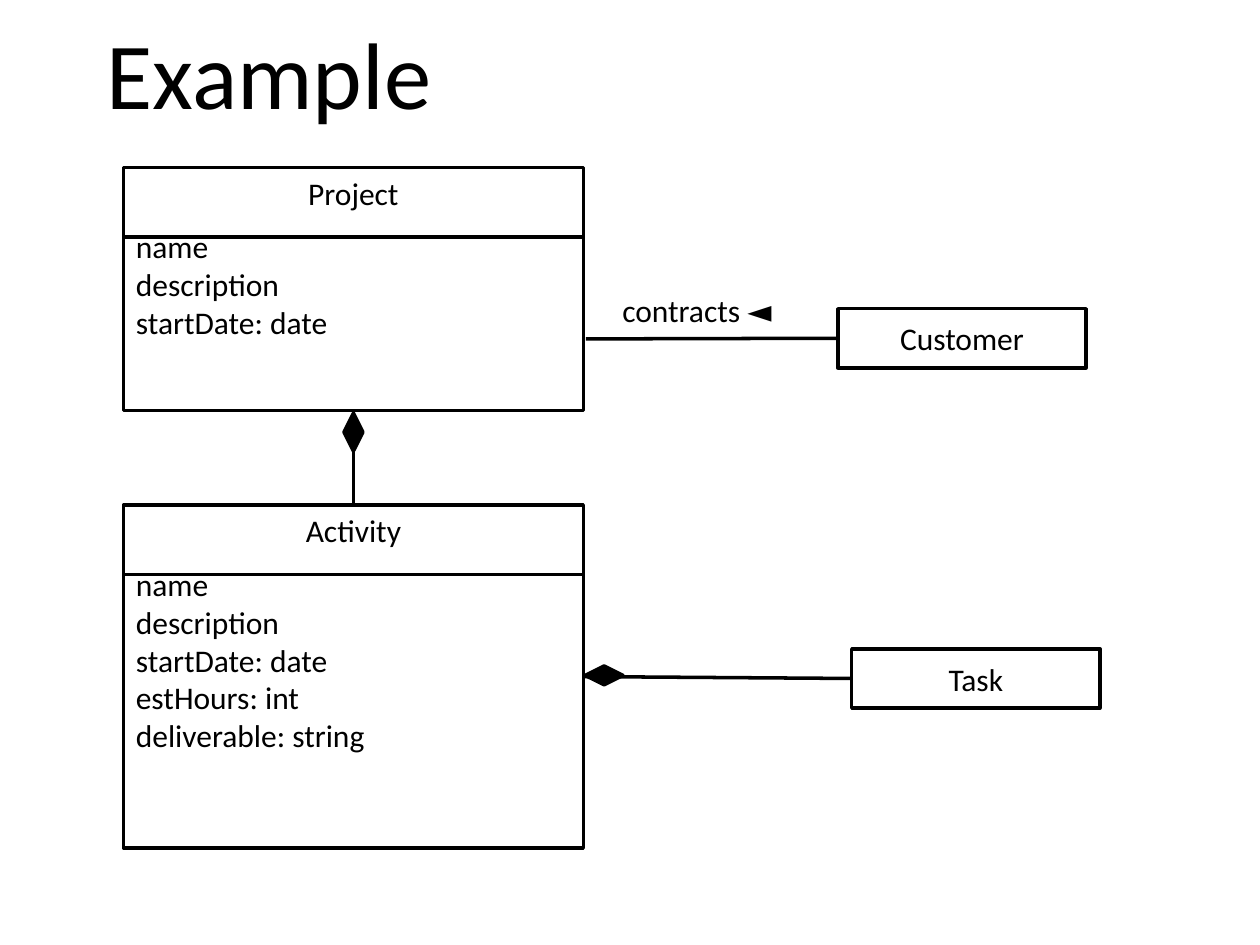
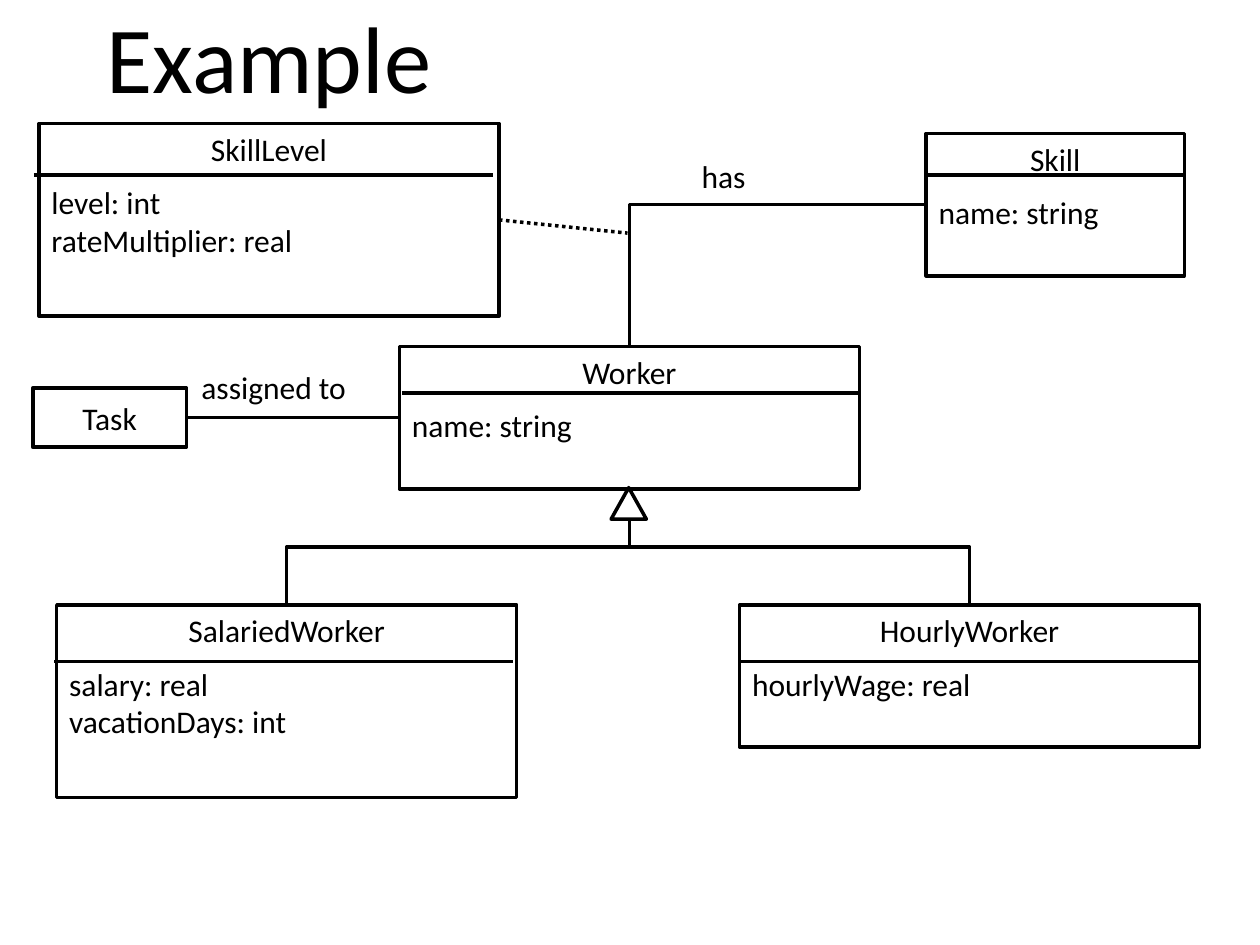
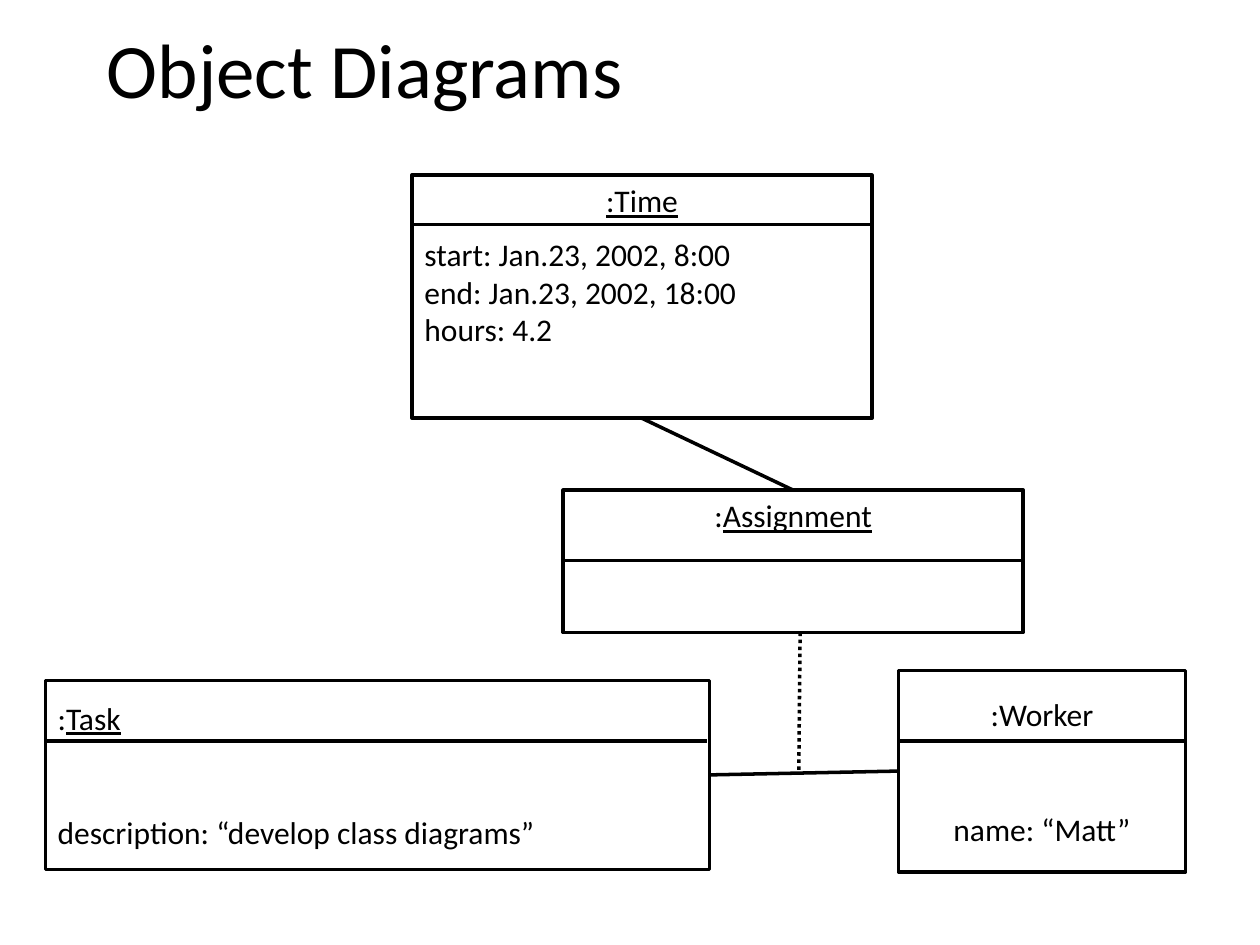
from pptx import Presentation
from pptx.dml.color import RGBColor
from pptx.enum.dml import MSO_LINE
from pptx.enum.shapes import MSO_CONNECTOR, MSO_SHAPE
from pptx.enum.text import MSO_ANCHOR, PP_ALIGN
from pptx.oxml.ns import qn
from pptx.util import Inches, Pt

BLACK = RGBColor(0, 0, 0)
WHITE = RGBColor(255, 255, 255)
FONT = "Calibri"
BODY_SIZE = 18
LINE_WIDTH = Pt(2)
ATTRIBUTE_GAP = 9
WIDE_GAP = 44
CLASS_WIDTH = 3.65
LABEL_HEIGHT = 0.47

RECT, DIAMOND, TRIANGLE = (
    MSO_SHAPE.RECTANGLE, MSO_SHAPE.DIAMOND, MSO_SHAPE.ISOSCELES_TRIANGLE)
STRAIGHT, ELBOW = MSO_CONNECTOR.STRAIGHT, MSO_CONNECTOR.ELBOW
DOTTED = MSO_LINE.ROUND_DOT
LEFT, CENTER = PP_ALIGN.LEFT, PP_ALIGN.CENTER
TOP, MIDDLE = MSO_ANCHOR.TOP, MSO_ANCHOR.MIDDLE
SITE_TOP, SITE_LEFT, SITE_BOTTOM, SITE_RIGHT = range(4)


def write(p, text, size=BODY_SIZE, align=LEFT, underline=False, before=0,
          spacing=None):
    """Append text to a paragraph, with a line break at each newline."""
    p.alignment = align
    if before:
        p.space_before = Pt(before)
    if spacing:
        p.line_spacing = spacing
    for i, line in enumerate(text.split("\n")):
        if i:
            p.add_line_break()
        r = p.add_run()
        r.text = line
        r.font.name, r.font.size = FONT, Pt(size)
        r.font.color.rgb = BLACK
        if underline:
            r.font.underline = True


class Diagram:
    """Holds the drawing style and the slide being drawn."""

    def __init__(self, prs):
        self.prs = prs
        self.slide = None

    def new_slide(self, title, height, size=54):
        self.slide = self.prs.slides.add_slide(self.prs.slide_layouts[6])
        self.text(title, 0.75, 0, 8.5, height, anchor=MIDDLE, size=size,
                  spacing=0.9)

    def text(self, text, x, y, w, h, anchor=TOP, **fmt):
        s = self.slide.shapes.add_textbox(
            Inches(x), Inches(y), Inches(w), Inches(h))
        tf = s.text_frame
        tf.word_wrap = True
        tf.vertical_anchor = anchor
        write(tf.paragraphs[0], text, **fmt)

    def shape(self, kind, x, y, w, h, fill=WHITE, rotation=0):
        s = self.slide.shapes.add_shape(
            kind, Inches(x), Inches(y), Inches(w), Inches(h))
        s.shadow.inherit = False
        s.fill.solid()
        s.fill.fore_color.rgb = fill
        s.line.color.rgb = BLACK
        s.line.width = LINE_WIDTH
        s.rotation = rotation
        return s

    def label_box(self, text, x, y, w=1.97):
        s = self.shape(RECT, x, y, w, LABEL_HEIGHT)
        s.text_frame.vertical_anchor = MIDDLE
        write(s.text_frame.paragraphs[0], text, align=CENTER)
        return s

    def class_box(self, x, y, h, divider, name="", underlined="",
                  attributes="", w=CLASS_WIDTH, nudge=0, anchor=TOP,
                  name_align=CENTER, align=LEFT, gap=ATTRIBUTE_GAP):
        """Draw a class: its name, a divider at the given height, attributes."""
        s = self.shape(RECT, x, y, w, h)
        tf = s.text_frame
        tf.word_wrap = True
        tf.vertical_anchor = anchor
        if name:
            write(tf.paragraphs[0], name, align=name_align)
        if underlined:
            write(tf.paragraphs[0], underlined, align=name_align,
                  underline=True)
        if attributes:
            write(tf.add_paragraph(), attributes, align=align, before=gap)
        self.line((x + nudge, divider), (x + nudge + w - 0.01, divider))
        return s

    def connector(self, kind, start=(0, 0), end=(0, 0), dash=None):
        """Draw a connector; an end is a point or a (shape, site) pair."""
        ends = [(0, 0) if hasattr(e[0], "text_frame") else e
                for e in (start, end)]
        c = self.slide.shapes.add_connector(
            kind, *(Inches(v) for point in ends for v in point))
        if ends[0] is not start:
            c.begin_connect(*start)
        if ends[1] is not end:
            c.end_connect(*end)
        c.line.color.rgb = BLACK
        c.line.width = LINE_WIDTH
        if dash:
            c.line.dash_style = dash
        spPr = c._element.spPr
        spPr.append(spPr.makeelement(qn("a:effectLst"), {}))
        return c

    def line(self, start, end, dash=None):
        return self.connector(STRAIGHT, start, end, dash)

    def elbow(self, start, end, degrees, flip=False, preset="bentConnector3"):
        """Draw a bent connector that leaves its start vertically."""
        c = self.connector(ELBOW, start, end)
        mid_x, mid_y = (c.begin_x + c.end_x) // 2, (c.begin_y + c.end_y) // 2
        w, h = abs(c.end_y - c.begin_y), abs(c.end_x - c.begin_x)
        c.left, c.top, c.width, c.height = mid_x - w // 2, mid_y - h // 2, w, h
        xfrm = c._element.spPr.find(qn("a:xfrm"))
        xfrm.set("rot", str(degrees * 60000))
        xfrm.set("flipH", str(int(flip)))
        xfrm.set("flipV", "0")
        c._element.spPr.find(qn("a:prstGeom")).set("prst", preset)


def project_slide(d):
    d.new_slide("Example", 1.25)
    project = d.class_box(0.98, 1.33, 1.93, 1.88, "Project",
                          attributes="name\ndescription\nstartDate: date")
    customer = d.label_box("Customer", 6.65, 2.45)
    d.line((4.65, 2.69), (customer, SITE_LEFT))
    d.text("contracts ◄", 4.84, 2.26, 1.82, 0.5)
    activity = d.class_box(
        0.98, 4.01, 2.72, 4.56, "Activity",
        attributes="name\ndescription\nstartDate: date\nestHours: int\n"
                   "deliverable: string")
    d.line((project, SITE_BOTTOM), (activity, SITE_TOP))
    d.shape(DIAMOND, 2.73, 3.28, 0.15, 0.3, fill=BLACK)
    task = d.label_box("Task", 6.76, 5.15)
    d.line((activity, SITE_RIGHT), (task, SITE_LEFT))
    d.shape(DIAMOND, 4.72, 5.21, 0.15, 0.3, fill=BLACK, rotation=270)


def worker_slide(d):
    d.new_slide("Example", 1)
    worker = d.class_box(3.17, 2.75, 1.13, 3.12, "Worker",
                         attributes="name: string", nudge=0.02)
    salaried = d.class_box(0.45, 4.8, 1.53, 5.25, "SalariedWorker",
                           attributes="salary: real\nvacationDays: int",
                           nudge=-0.02)
    hourly = d.class_box(5.87, 4.8, 1.13, 5.25, "HourlyWorker",
                         attributes="hourlyWage: real")
    d.elbow((worker, SITE_BOTTOM), (salaried, SITE_TOP), 90)
    d.elbow((worker, SITE_BOTTOM), (hourly, SITE_TOP), 270, flip=True)
    d.shape(TRIANGLE, 4.85, 3.87, 0.28, 0.25)
    level = d.class_box(0.31, 0.98, 1.53, 1.39, "SkillLevel",
                        attributes="level: int\nrateMultiplier: real",
                        nudge=-0.04)
    d.line((level, SITE_RIGHT), (4.98, 1.85), dash=DOTTED)
    task = d.label_box("Task", 0.26, 3.08, w=1.22)
    d.line((worker, SITE_LEFT), (task, SITE_RIGHT))
    d.text("assigned to", 1.5, 2.87, 1.69, 0.5)
    skill = d.class_box(7.35, 1.06, 1.13, 1.39, "Skill",
                        attributes="name: string", w=2.05)
    d.elbow((worker, SITE_TOP), (skill, SITE_LEFT), 270,
            preset="bentConnector2")
    d.text("has", 5.47, 1.2, 0.65, 0.5)


def object_slide(d):
    d.new_slide("Object Diagrams", 1.17, size=44)
    time = d.class_box(
        3.27, 1.39, 1.93, 1.78, underlined=":Time",
        attributes="start: Jan.23, 2002, 8:00\nend: Jan.23, 2002, 18:00\n"
                   "hours: 4.2")
    assignment = d.class_box(4.47, 3.89, 1.13, 4.45, ":", "Assignment")
    d.line((time, SITE_BOTTOM), (assignment, SITE_TOP))
    task = d.class_box(0.36, 5.4, 1.5, 5.88, ":", "Task",
                       "description: “develop class diagrams”", w=5.27,
                       nudge=-0.01, anchor=MIDDLE, name_align=LEFT,
                       gap=WIDE_GAP)
    worker = d.class_box(7.13, 5.32, 1.6, 5.88, ":Worker",
                         attributes="name: “Matt”", w=2.28, anchor=MIDDLE,
                         align=CENTER, gap=WIDE_GAP)
    d.line((task, SITE_RIGHT), (worker, SITE_LEFT))
    d.line((6.34, 6.11), (6.35, 5.03), dash=DOTTED)


def main():
    prs = Presentation()
    prs.slide_width, prs.slide_height = Inches(10), Inches(7.5)
    d = Diagram(prs)
    project_slide(d)
    worker_slide(d)
    object_slide(d)
    prs.save("out.pptx")


if __name__ == "__main__":
    main()
